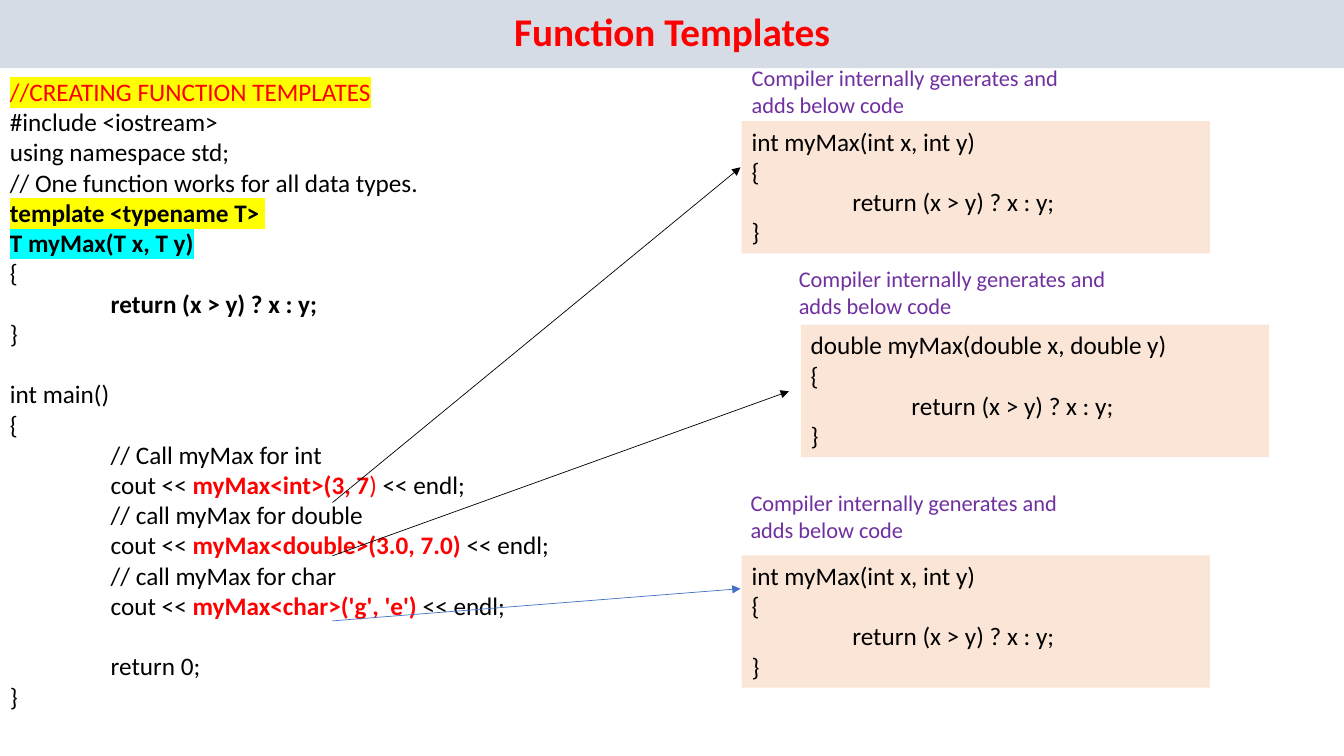
from lxml import etree
from pptx import Presentation
from pptx.dml.color import RGBColor
from pptx.enum.shapes import MSO_CONNECTOR, MSO_SHAPE
from pptx.enum.text import MSO_ANCHOR, PP_ALIGN
from pptx.oxml.ns import qn
from pptx.util import Pt

BLACK = RGBColor(0x00, 0x00, 0x00)
RED = RGBColor(0xFF, 0x00, 0x00)
PURPLE = RGBColor(0x70, 0x30, 0xA0)
BLUE = RGBColor(0x44, 0x72, 0xC4)
BAND = RGBColor(0xD6, 0xDC, 0xE5)
PEACH = RGBColor(0xFB, 0xE5, 0xD6)
YELLOW = RGBColor(0xFF, 0xFF, 0x00)
CYAN = RGBColor(0x00, 0xFF, 0xFF)

FONT = "Calibri"
CODE_SIZE = 18
CODE_LINE = 21.6
TAB_STOP = Pt(72)
RETURN_MAX = "return (x > y) ? x : y;"


def add_run(paragraph, text, size=CODE_SIZE, color=BLACK, bold=False, highlight=None):
    """Append formatted text, optionally highlighted, to a paragraph."""
    run = paragraph.add_run()
    run.text = text
    font = run.font
    font.name, font.size, font.bold = FONT, Pt(size), bold
    font.color.rgb = color
    if highlight is not None:
        mark = etree.Element(qn("a:highlight"))
        etree.SubElement(mark, qn("a:srgbClr"), val=str(highlight))
        run._r.rPr.find(qn("a:solidFill")).addnext(mark)


def set_tab_stop(paragraph):
    """Give a paragraph one left tab stop for indented code."""
    stops = etree.SubElement(paragraph._p.get_or_add_pPr(), qn("a:tabLst"))
    etree.SubElement(stops, qn("a:tab"), pos=str(int(TAB_STOP)), algn="l")


def write_lines(frame, lines):
    """Fill a text frame; each line is a list of (text, style) runs."""
    for index, runs in enumerate(lines):
        paragraph = frame.paragraphs[0] if index == 0 else frame.add_paragraph()
        paragraph.alignment = PP_ALIGN.LEFT
        if runs[0][0].startswith("\t"):
            set_tab_stop(paragraph)
        for text, style in runs:
            add_run(paragraph, text, **style)


def add_title(slide, text):
    """Turn the title placeholder into a full-width band."""
    title = slide.shapes.title
    title.left, title.top, title.width, title.height = Pt(0), Pt(0), Pt(960), Pt(48.7)
    title.fill.solid()
    title.fill.fore_color.rgb = BAND
    frame = title.text_frame
    frame.vertical_anchor = MSO_ANCHOR.MIDDLE
    paragraph = frame.paragraphs[0]
    paragraph.alignment = PP_ALIGN.CENTER
    paragraph.line_spacing = 0.9
    paragraph.space_after = Pt(8)
    add_run(paragraph, text, size=28, color=RED, bold=True)


def add_text(slide, left, top, width, height, lines, wrap=True):
    """Add a text box and return its text frame."""
    box = slide.shapes.add_textbox(Pt(left), Pt(top), Pt(width), Pt(height))
    box.text_frame.word_wrap = wrap
    write_lines(box.text_frame, lines)
    return box.text_frame


def add_code_box(slide, left, top, signature):
    """Add a filled box with one generated function."""
    box = slide.shapes.add_shape(
        MSO_SHAPE.RECTANGLE, Pt(left), Pt(top), Pt(334.5), Pt(94.5))
    box.shadow.inherit = False
    box.fill.solid()
    box.fill.fore_color.rgb = PEACH
    box.line.fill.background()
    box.text_frame.vertical_anchor = MSO_ANCHOR.TOP
    write_lines(box.text_frame,
                [[(text, {})] for text in (signature, "{", "\t" + RETURN_MAX, "}")])


def add_caption(slide, left, top):
    """Add the purple note above a generated function."""
    style = {"size": 16, "color": PURPLE}
    lines = ["Compiler internally generates and ", "adds below code"]
    add_text(slide, left, top, 239.5, 46, [[(text, style)] for text in lines], wrap=False)


def add_arrow(slide, start, end, color):
    """Add a thin straight arrow between two points."""
    arrow = slide.shapes.add_connector(
        MSO_CONNECTOR.STRAIGHT, *[Pt(value) for value in (*start, *end)])
    arrow.line.color.rgb = color
    arrow.line.width = Pt(0.5)
    outline = arrow._element.spPr.find(qn("a:ln"))
    etree.SubElement(outline, qn("a:tailEnd"), type="triangle")
    etree.SubElement(arrow._element.spPr, qn("a:effectLst"))


def call_lines(type_name, call):
    """Return the comment and the output statement of one call."""
    return [[(f"\t// {'Call' if type_name == 'int' else 'call'} myMax for {type_name}", {})],
            [("\tcout << ", {}), *call, ("<< endl;", {})]]


def code_lines():
    """Return the lines of the template program."""
    key = {"color": RED, "bold": True}
    return [
        [("//CREATING FUNCTION TEMPLATES", {"color": RED, "highlight": YELLOW})],
        [("#include <iostream>", {})],
        [("using namespace std;", {})],
        [("// One function works for all data types. ", {})],
        [("template <typename T> ", {"bold": True, "highlight": YELLOW})],
        [("T myMax(T x, T y)", {"bold": True, "highlight": CYAN})],
        [("{", {})],
        [("\t", {}), (RETURN_MAX, {"bold": True})],
        [("}", {})],
        [("int main()", {})],
        [("{", {})],
        *call_lines("int", [("myMax<int>(3, 7", key), (") ", {"color": RED})]),
        *call_lines("double", [("myMax<double>(3.0, 7.0) ", key)]),
        *call_lines("char", [("myMax<char>('g', 'e') ", key)]),
        [("\treturn 0;", {})],
        [("}", {})],
    ]


def main():
    """Build the slide and save it."""
    prs = Presentation()
    prs.slide_width, prs.slide_height = Pt(960), Pt(540)
    slide = prs.slides.add_slide(prs.slide_layouts[5])
    add_title(slide, "Function Templates")

    program = add_text(slide, 0, 50.9, 458, 465, code_lines())
    for paragraph in program.paragraphs:
        if paragraph.text in ("int main()", "\treturn 0;"):
            paragraph.space_before = Pt(CODE_LINE)

    # signature, box position, caption position, arrow start, arrow end, arrow colour
    generated = [
        ("int myMax(int x, int y)", (529.8, 86.5), (529.8, 42.5),
         (237.5, 359), (529, 119.5), BLACK),
        ("double myMax(double x, double y)", (572, 232), (563.5, 186),
         (237.5, 397), (563.5, 279.5), BLACK),
        ("int myMax(int x, int y)", (529.8, 396.7), (529, 345.8),
         (237.5, 443.5), (529, 420.5), BLUE),
    ]
    for signature, box, caption, start, end, color in generated:
        add_code_box(slide, *box, signature)
        add_caption(slide, *caption)
        add_arrow(slide, start, end, color)

    prs.save("out.pptx")


main()
